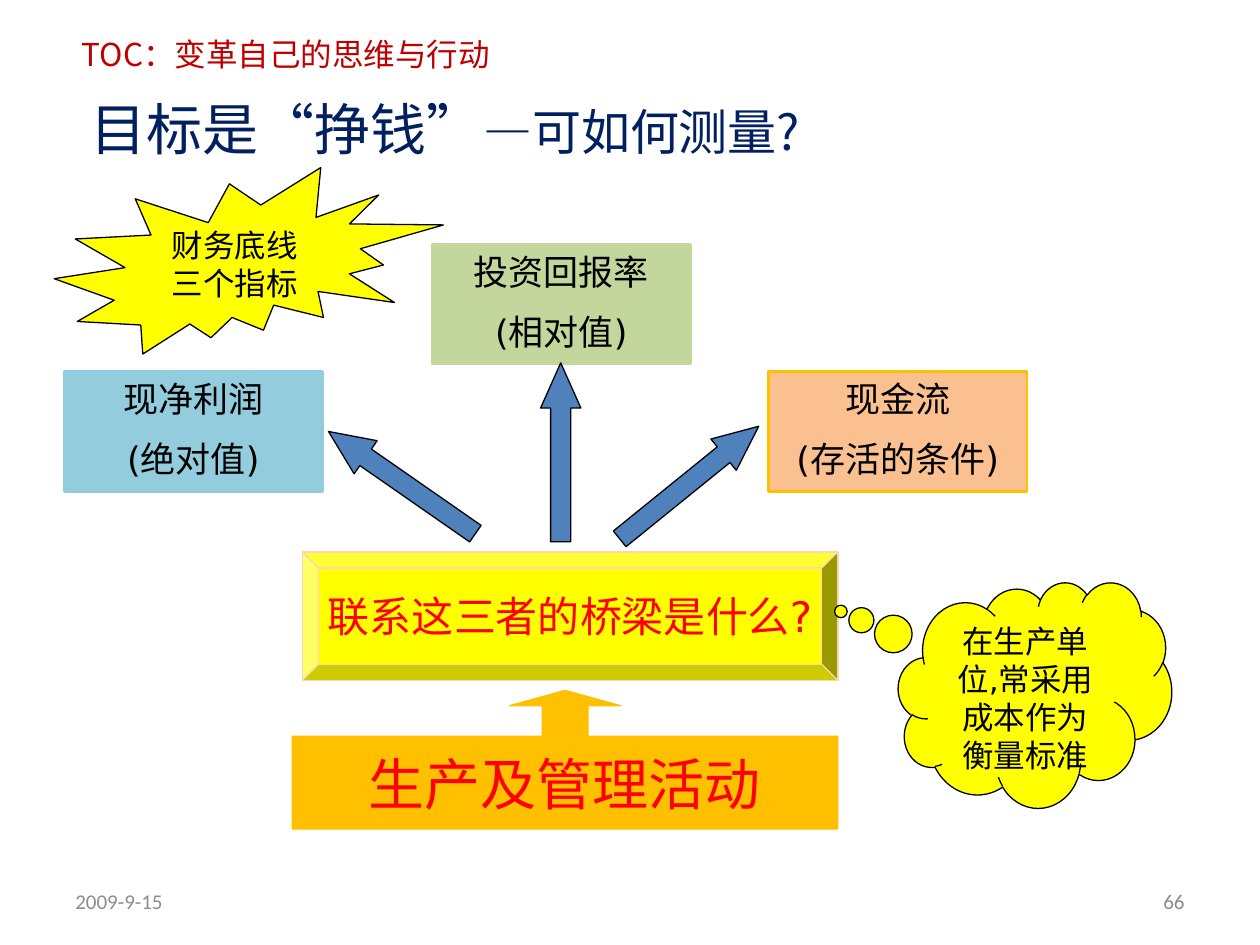
import pptx
import pptx.util
import pptx.dml.color
import pptx.enum.shapes
import pptx.enum.text
import pptx.oxml.ns
import lxml.etree

Inches = pptx.util.Inches
Pt = pptx.util.Pt
SHAPE = pptx.enum.shapes.MSO_SHAPE
ALIGN = pptx.enum.text.PP_ALIGN
ANCHOR = pptx.enum.text.MSO_ANCHOR

COLORS = {
    "black": "000000", "navy": "002060", "crimson": "C00000",
    "red": "FF0000", "gray": "8C8C8C", "yellow": "FFFF00",
    "amber": "FFC000", "blue": "4F81BD", "aqua": "93CDDD",
    "green": "C3D69B", "peach": "FAC090", "cream": "FCD5B5",
}
HEADING_FONT = "Noto Sans CJK SC"
BODY_FONT = "DejaVu Sans"
FOOTER_FONT = "Calibri"


class SlideBuilder:
    def __init__(self, slide):
        self.slide = slide

    def color(self, name):
        return pptx.dml.color.RGBColor.from_string(COLORS[name])

    def style_run(self, run, size, color, font):
        run.font.size = Pt(size)
        run.font.name = font
        run.font.color.rgb = self.color(color)
        east_asian = lxml.etree.SubElement(
            run.font._element, pptx.oxml.ns.qn("a:ea"))
        east_asian.set("typeface", font)

    def fill_text(self, frame, text, size, color, font=BODY_FONT,
                  align=ALIGN.CENTER, anchor=ANCHOR.MIDDLE, wrap=True, gap=0):
        frame.text = text
        frame.word_wrap = wrap
        frame.vertical_anchor = anchor
        for index, paragraph in enumerate(frame.paragraphs):
            paragraph.alignment = align
            if gap and index:
                paragraph.space_before = Pt(gap)
            for run in paragraph.runs:
                self.style_run(run, size, color, font)

    def title(self, box, parts):
        title = self.slide.shapes.title
        title.left, title.top, title.width, title.height = map(Inches, box)
        frame = title.text_frame
        frame.auto_size = pptx.enum.text.MSO_AUTO_SIZE.NONE
        frame.word_wrap = False
        frame.vertical_anchor = ANCHOR.TOP
        paragraph = frame.paragraphs[0]
        paragraph.alignment = ALIGN.LEFT
        for text, size in parts:
            run = paragraph.add_run()
            run.text = text
            self.style_run(run, size, "navy", HEADING_FONT)

    def label(self, box, text, size, color, font, **layout):
        textbox = self.slide.shapes.add_textbox(*map(Inches, box))
        self.fill_text(textbox.text_frame, text, size, color, font, **layout)

    def shape(self, kind, box, fill, line, line_width=0.75,
              adjustments=(), rotation=0):
        shape = self.slide.shapes.add_shape(kind, *map(Inches, box))
        shape.shadow.inherit = False
        shape.fill.solid()
        shape.fill.fore_color.rgb = self.color(fill)
        shape.line.color.rgb = self.color(line)
        shape.line.width = Pt(line_width)
        shape.rotation = rotation
        for index, value in enumerate(adjustments):
            shape.adjustments[index] = value
        return shape.text_frame


def main():
    presentation = pptx.Presentation()
    presentation.slide_width = Inches(10)
    presentation.slide_height = Inches(7.5)
    builder = SlideBuilder(
        presentation.slides.add_slide(presentation.slide_layouts[5]))

    builder.label((0.55, 0.23, 3.59, 0.4), "TOC：变革自己的思维与行动", 18,
                  "crimson", HEADING_FONT, align=ALIGN.LEFT, anchor=ANCHOR.TOP)
    builder.title((0.62, 0.7, 5.9, 0.64),
                  [("目标是“挣钱”", 32), ("—可如何测量?", 28)])
    for left, text, align in [(0.5, "2009-9-15", ALIGN.LEFT),
                              (7.17, "66", ALIGN.RIGHT)]:
        builder.label((left, 6.95, 2.33, 0.4), text, 12, "gray",
                      FOOTER_FONT, align=align)

    bottom_line = builder.shape(SHAPE.EXPLOSION2, (0.43, 1.33, 3.09, 1.48),
                                "yellow", "black")
    builder.fill_text(bottom_line, "财务底线\n三个指标", 18, "black", wrap=False)

    indicators = [
        (0.51, 2.95, "aqua", "aqua", "现净利润\n(绝对值)"),
        (3.43, 1.94, "green", "green", "投资回报率\n(相对值)"),
        (6.1, 2.95, "peach", "amber", "现金流\n(存活的条件)"),
    ]
    for left, top, fill, line, text in indicators:
        indicator = builder.shape(SHAPE.RECTANGLE, (left, top, 2.05, 0.95),
                                  fill, line, 1.5)
        builder.fill_text(indicator, text, 20, "black",
                          anchor=ANCHOR.TOP, gap=10)

    bridge = builder.shape(SHAPE.BEVEL, (2.4, 4.38, 4.25, 1.02),
                           "yellow", "cream", adjustments=[0.125])
    builder.fill_text(bridge, "联系这三者的桥梁是什么?", 24, "red", wrap=False)

    for left, top, rotation in [(2.48, 3.67, 214.8), (3.74, 3.43, 270),
                                (4.76, 3.67, 321)]:
        builder.shape(SHAPE.RIGHT_ARROW, (left, top, 1.42, 0.32), "blue",
                      "black", adjustments=[0.5, 1.12], rotation=rotation)

    activities = builder.shape(SHAPE.UP_ARROW_CALLOUT, (2.32, 5.48, 4.33, 1.1),
                               "amber", "amber",
                               adjustments=[0.33, 0.4, 0.11, 0.67])
    builder.fill_text(activities, "生产及管理活动", 32, "red", wrap=False)

    cost_thought = builder.shape(SHAPE.CLOUD_CALLOUT, (7.13, 4.62, 2.17, 1.79),
                                 "yellow", "black",
                                 adjustments=[-0.71, -0.37])
    builder.fill_text(cost_thought, "在生产单位,常采用成本作为衡量标准", 18,
                      "black", anchor=ANCHOR.TOP)

    presentation.save("out.pptx")


if __name__ == "__main__":
    main()
